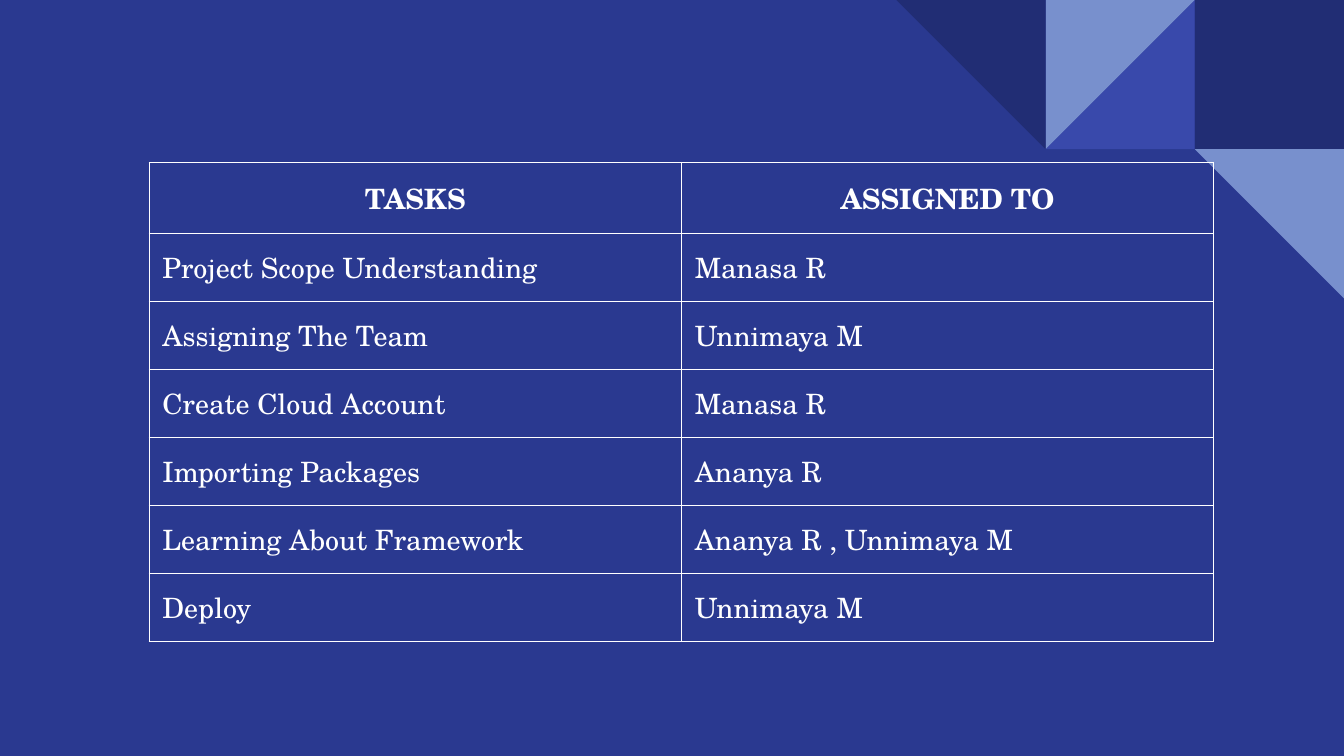
"""Build a task assignment slide with a corner pattern and a table."""
from lxml import etree
from pptx import Presentation
from pptx import util as u
from pptx.dml.color import RGBColor
from pptx.enum import shapes, text
from pptx.oxml import ns

COLORS = {"background": "2A3990", "navy": "212D74", "indigo": "3949AB",
          "sky": "7890CD", "white": "FFFFFF"}
SLIDE_WIDTH, SLIDE_HEIGHT = 25.4, 14.29
TILE = 2.82


class SlideBuilder:
    """Hold the style and the current slide."""

    font = "TeX Gyre Schola"
    size = u.Pt(15)
    border = u.Pt(0.75)
    inset = u.Cm(0.25)

    def __init__(self, slide):
        self.slide = slide

    def color(self, name):
        return RGBColor.from_string(COLORS[name])

    def background(self, name):
        fill = self.slide.background.fill
        fill.solid()
        fill.fore_color.rgb = self.color(name)

    def tile(self, kind, columns_from_right, row, rotation, name):
        shape = self.slide.shapes.add_shape(
            kind, u.Cm(SLIDE_WIDTH - columns_from_right * TILE),
            u.Cm(row * TILE), u.Cm(TILE), u.Cm(TILE))
        shape.rotation = rotation
        shape.shadow.inherit = False
        shape.fill.solid()
        shape.fill.fore_color.rgb = self.color(name)
        shape.line.fill.background()

    def borders(self, cell):
        properties = cell._tc.get_or_add_tcPr()
        for side in ("lnL", "lnR", "lnT", "lnB"):
            line = etree.SubElement(properties, ns.qn(f"a:{side}"), w=str(self.border))
            fill = etree.SubElement(line, ns.qn("a:solidFill"))
            etree.SubElement(fill, ns.qn("a:srgbClr"), val=COLORS["white"])

    def cell(self, cell, words, header):
        self.borders(cell)
        cell.fill.background()
        cell.margin_left = cell.margin_right = self.inset
        cell.margin_top = cell.margin_bottom = self.inset
        cell.vertical_anchor = text.MSO_ANCHOR.MIDDLE
        paragraph = cell.text_frame.paragraphs[0]
        paragraph.alignment = text.PP_ALIGN.CENTER if header else text.PP_ALIGN.LEFT
        run = paragraph.add_run()
        run.text = words
        run.font.name = self.font
        run.font.size = self.size
        run.font.bold = header
        run.font.color.rgb = self.color("white")

    def table(self, rows, left, top, column_width, header_height, row_height):
        columns = len(rows[0])
        height = header_height + row_height * (len(rows) - 1)
        table = self.slide.shapes.add_table(
            len(rows), columns, u.Cm(left), u.Cm(top),
            u.Cm(column_width * columns), u.Cm(height)).table
        table.first_row = table.horz_banding = False
        for column in table.columns:
            column.width = u.Cm(column_width)
        for index, words in enumerate(rows):
            header = index == 0
            table.rows[index].height = u.Cm(header_height if header else row_height)
            for cell, value in zip(table.rows[index].cells, words):
                self.cell(cell, value, header)


presentation = Presentation()
presentation.slide_width = u.Cm(SLIDE_WIDTH)
presentation.slide_height = u.Cm(SLIDE_HEIGHT)
builder = SlideBuilder(presentation.slides.add_slide(presentation.slide_layouts[6]))
builder.background("background")

SQUARE = shapes.MSO_SHAPE.RECTANGLE
TRIANGLE = shapes.MSO_SHAPE.RIGHT_TRIANGLE
for corner_tile in (
    (SQUARE, 1, 0, 0, "navy"),
    (TRIANGLE, 2, 0, 270, "indigo"),
    (TRIANGLE, 2, 0, 90, "sky"),
    (TRIANGLE, 3, 0, 180, "navy"),
    (TRIANGLE, 1, 1, 180, "sky"),
):
    builder.tile(*corner_tile)

assignments = [
    ("TASKS", "ASSIGNED TO"),
    ("Project Scope Understanding", "Manasa R"),
    ("Assigning The Team", "Unnimaya M"),
    ("Create Cloud Account", "Manasa R"),
    ("Importing Packages", "Ananya R"),
    ("Learning About Framework", "Ananya R , Unnimaya M"),
    ("Deploy", "Unnimaya M"),
]
builder.table(assignments, left=2.82, top=3.07, column_width=10.06,
              header_height=1.34, row_height=1.285)

presentation.save("out.pptx")
